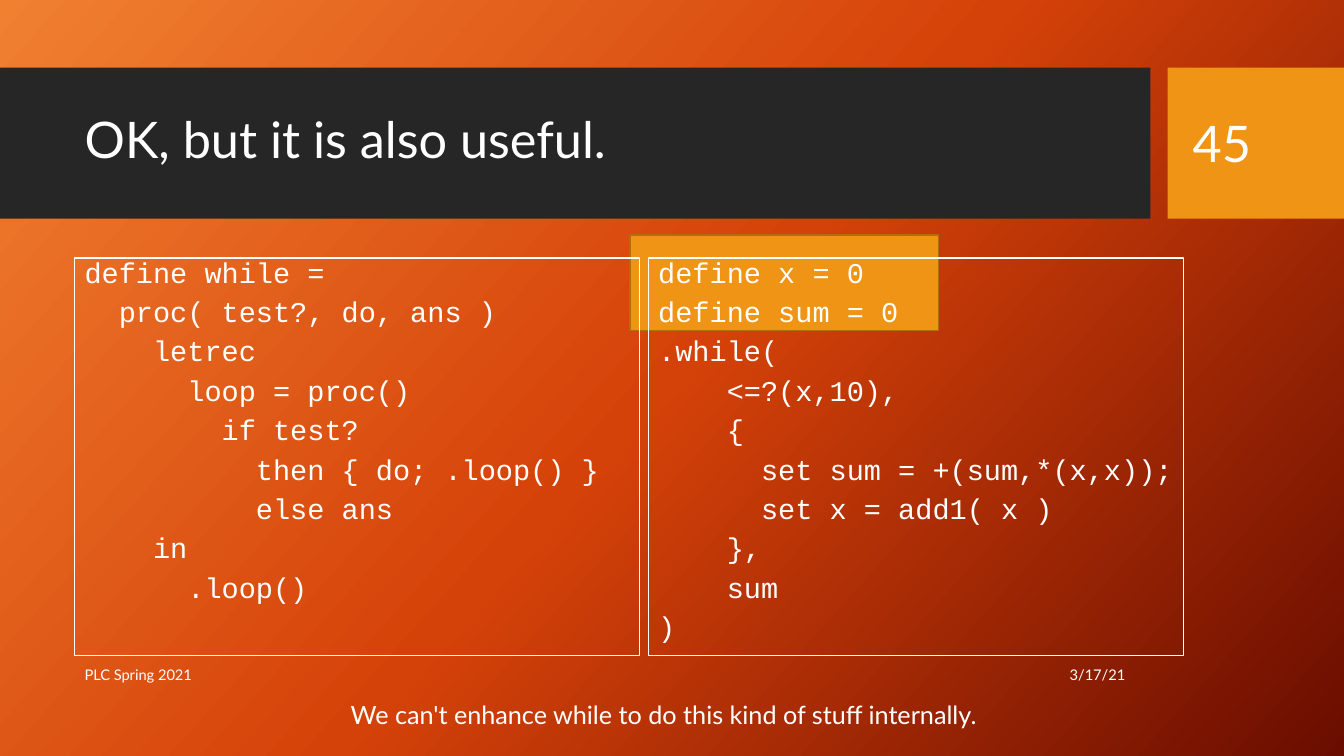
from copy import deepcopy

from pptx import Presentation
from pptx.dml.color import RGBColor
from pptx.enum.shapes import MSO_SHAPE
from pptx.enum.text import MSO_ANCHOR, MSO_AUTO_SIZE, PP_ALIGN
from pptx.oxml.ns import qn
from pptx.util import Inches, Pt

RECT = MSO_SHAPE.RECTANGLE
TOP, MIDDLE = MSO_ANCHOR.TOP, MSO_ANCHOR.MIDDLE
LEFT, RIGHT = PP_ALIGN.LEFT, PP_ALIGN.RIGHT
GROW, FIXED = MSO_AUTO_SIZE.SHAPE_TO_FIT_TEXT, MSO_AUTO_SIZE.NONE

COLORS = {"white": "FFFFFF", "dark": "262626", "amber": "F09415", "edge": "B26D10",
          "light": "F18031", "flame": "D54209", "deep": "6A0D00"}

LOOP = """define while =
  proc( test?, do, ans )
    letrec
      loop = proc()
        if test?
          then { do; .loop() }
          else ans
    in
      .loop()"""

USAGE = """define x = 0
define sum = 0
.while(
    <=?(x,10),
    {
      set sum = +(sum,*(x,x));
      set x = add1( x )
    },
    sum
)"""


def color(name):
    return RGBColor.from_string(COLORS[name])


def write(frame, text, size=18, font="Lato", align=LEFT, anchor=MIDDLE,
          line=None, before=0, wrap=True, fit=FIXED):
    """Fill a text frame, one paragraph for each line of text."""
    frame.word_wrap = wrap
    frame.auto_size = fit
    frame.vertical_anchor = anchor
    for i, row in enumerate(text.split("\n")):
        par = frame.add_paragraph() if i else frame.paragraphs[0]
        par.alignment = align
        par.line_spacing = line
        par.space_before = Pt(before)
        run = par.add_run()
        run.text = row
        run.font.name = font
        run.font.size = Pt(size)
        run.font.color.rgb = color("white")


class Deck:
    def __init__(self):
        self.prs = Presentation()
        self.prs.slide_width = Inches(13.33)
        self.prs.slide_height = Inches(7.5)
        self.slide = self.prs.slides.add_slide(self.prs.slide_layouts[5])
        self.shapes = self.slide.shapes

    def backdrop(self, names, angle):
        fill = self.slide.background.fill
        fill.gradient()
        fill.gradient_angle = angle
        stops = self.slide.element.find(".//" + qn("a:gsLst"))
        while len(stops) < len(names):
            stops.append(deepcopy(stops[0]))
        for i, (stop, name) in enumerate(zip(fill.gradient_stops, names)):
            stop.position = i / (len(names) - 1)
            stop.color.rgb = color(name)

    def rect(self, box, fill=None, line=None, width=1):
        shape = self.shapes.add_shape(RECT, *map(Inches, box))
        shape.shadow.inherit = False
        if fill:
            shape.fill.solid()
            shape.fill.fore_color.rgb = color(fill)
        else:
            shape.fill.background()
        if line:
            shape.line.color.rgb = color(line)
            shape.line.width = Pt(width)
        else:
            shape.line.fill.background()
        return shape

    def title(self, box, text, **style):
        shape = self.shapes.title
        shape.left, shape.top, shape.width, shape.height = map(Inches, box)
        write(shape.text_frame, text, **style)
        # Bring the title in front of its bar
        self.shapes.element.append(shape.element)

    def text(self, box, text, **style):
        shape = self.shapes.add_textbox(*map(Inches, box))
        write(shape.text_frame, text, **style)

    def code(self, box, text):
        shape = self.rect(box, line="white", width=0.75)
        write(shape.text_frame, text, size=20.4, font="Courier New",
              anchor=TOP, line=0.74, before=10)


def main():
    deck = Deck()
    deck.backdrop(["light", "flame", "deep"], 318)

    # Header bars and title
    deck.rect((0, 0.67, 11.41, 1.5), "dark")
    deck.rect((11.58, 0.67, 1.75, 1.5), "amber")
    deck.title((0.74, 0.82, 10.51, 1.18), "OK, but it is also useful.", size=36, line=0.9)

    # Code panels, with the two definitions marked
    deck.rect((6.25, 2.33, 3.06, 0.95), "amber", "edge")
    deck.code((0.74, 2.56, 5.6, 3.94), LOOP)
    deck.code((6.43, 2.56, 5.31, 3.94), USAGE)

    # Date, footer and page number
    deck.text((8.26, 6.49, 3, 0.4), "3/17/21", size=10.5, align=RIGHT)
    deck.text((0.74, 6.49, 7.51, 0.4), "PLC Spring 2021", size=10.5)
    deck.text((11.73, 0.82, 1.26, 1.19), "45", size=36)

    # Closing remark
    deck.text((3.38, 6.89, 6.73, 0.4),
              "We can't enhance while to do this kind of stuff internally.",
              anchor=TOP, wrap=False, fit=GROW)

    deck.prs.save("out.pptx")


if __name__ == "__main__":
    main()
